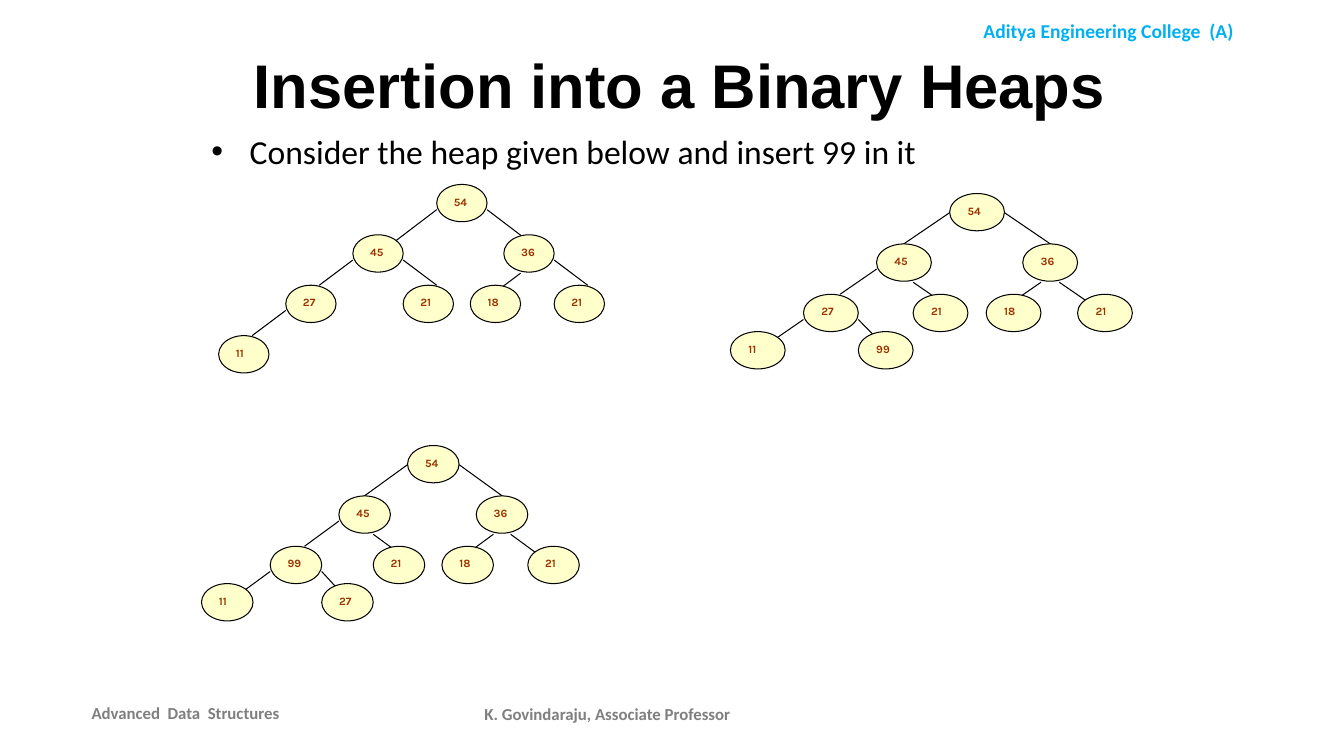
from lxml import etree
from pptx import Presentation
from pptx.dml.color import RGBColor
from pptx.enum.shapes import MSO_CONNECTOR, MSO_SHAPE
from pptx.enum.text import MSO_ANCHOR, MSO_AUTO_SIZE, PP_ALIGN
from pptx.oxml.ns import qn
from pptx.util import Emu, Pt

EMU_PER_PX = 9144
ELLIPSE = MSO_SHAPE.OVAL
STRAIGHT = MSO_CONNECTOR.STRAIGHT
LEFT, CENTER, JUSTIFY = PP_ALIGN.LEFT, PP_ALIGN.CENTER, PP_ALIGN.JUSTIFY
TOP, MIDDLE = MSO_ANCHOR.TOP, MSO_ANCHOR.MIDDLE
NO_FIT = MSO_AUTO_SIZE.NONE

COLORS = {"ink": "000000", "college": "00B0F0", "footer": "7F7F7F",
          "node": "FFFFCC", "value": "993300"}

NODE_COLS, NODE_H = 3, 37
LEVELS = (0, 50, 100)

HEAP_BEFORE = {
    "cols": 23, "leaf_y": 150,
    "nodes": [(13, 0), (8, 1), (17, 1), (4, 2), (11, 2), (15, 2), (20, 2), (0, 3)],
    "edges": [(13, 25, 10, 63), (16, 25, 19, 63), (8, 75, 6, 100), (11, 75, 13, 100),
              (18, 88, 16, 113), (20, 75, 22, 100), (4, 125, 2, 150)],
}
HEAP_AFTER = {
    "cols": 22, "leaf_y": 137,
    "nodes": [(12, 0), (8, 1), (16, 1), (4, 2), (10, 2), (14, 2), (19, 2), (0, 3), (7, 3)],
    "edges": [(12, 19, 9, 56), (15, 19, 18, 56), (8, 75, 6, 100), (10, 88, 12, 113),
              (17, 88, 15, 113), (18, 88, 20, 113), (4, 125, 2, 150), (7, 125, 9, 162)],
}
HEAPS = [
    (HEAP_BEFORE, 217, 183, 383, [54, 45, 36, 27, 21, 18, 21, 11]),
    (HEAP_AFTER, 725, 192, 399, [54, 45, 36, 27, 21, 18, 21, 11, 99]),
    (HEAP_AFTER, 200, 442, 375, [54, 45, 36, 99, 21, 18, 21, 11, 27]),
]


def px(n):
    """Turn px into EMU."""
    return Emu(round(n * EMU_PER_PX))


def rgb(name):
    """Look up a named colour."""
    return RGBColor.from_string(COLORS[name])


def write(sp, text, size, color="ink", font="Calibri", bold=True, align=LEFT,
          anchor=TOP, bullet=False):
    """Put one formatted paragraph into a shape."""
    tf = sp.text_frame
    tf.word_wrap = True
    tf.auto_size = NO_FIT
    tf.vertical_anchor = anchor
    tf.margin_left = tf.margin_right = px(10)
    tf.margin_top = tf.margin_bottom = px(5)
    p = tf.paragraphs[0]
    p.alignment = align
    if bullet:
        add_bullet(p)
    r = p.add_run()
    r.text = text
    r.font.size = Pt(size)
    r.font.name = font
    r.font.bold = bold
    r.font.color.rgb = rgb(color)


def add_bullet(p):
    """Give a paragraph a hanging round bullet and tight lines."""
    pPr = p._p.get_or_add_pPr()
    pPr.set("marL", str(px(38)))
    pPr.set("indent", str(px(-38)))
    clr = etree.SubElement(pPr, qn("a:buClr"))
    etree.SubElement(clr, qn("a:srgbClr"), val=COLORS["ink"])
    etree.SubElement(pPr, qn("a:buFont"), typeface="Arial")
    etree.SubElement(pPr, qn("a:buChar"), char="•")
    p.line_spacing = 0.8


def add_text(s, x, y, w, h, text, size, **fmt):
    """Add a text box."""
    write(s.shapes.add_textbox(px(x), px(y), px(w), px(h)), text, size, **fmt)


def add_title(s, x, y, w, h, text, size, **fmt):
    """Move and fill the title placeholder."""
    sp = s.shapes.title
    sp.left, sp.top, sp.width, sp.height = px(x), px(y), px(w), px(h)
    write(sp, text, size, **fmt)


def outline(shape):
    """Give a shape or connector the thin black line."""
    shape.line.color.rgb = rgb("ink")
    shape.line.width = Pt(0.75)


def add_edge(shapes, x1, y1, x2, y2):
    """Add a line between two nodes."""
    edge = shapes.add_connector(STRAIGHT, px(x1), px(y1), px(x2), px(y2))
    outline(edge)
    etree.SubElement(edge._element.spPr, qn("a:effectLst"))


def add_node(shapes, x, y, w, value):
    """Add one heap node."""
    sp = shapes.add_shape(ELLIPSE, px(x), px(y), px(w), px(NODE_H))
    sp.shadow.inherit = False
    sp.fill.solid()
    sp.fill.fore_color.rgb = rgb("node")
    outline(sp)
    write(sp, str(value), 8, color="value", font="Karla")


def add_heap(s, layout, x, y, width, values):
    """Add a grouped heap, its edges behind its nodes."""
    shapes = s.shapes.add_group_shape().shapes
    col = width / layout["cols"]
    tops = (*LEVELS, layout["leaf_y"])
    for c1, y1, c2, y2 in layout["edges"]:
        add_edge(shapes, x + c1 * col, y + y1, x + c2 * col, y + y2)
    for (c, level), value in zip(layout["nodes"], values):
        add_node(shapes, x + c * col, y + tops[level], NODE_COLS * col, value)


def main():
    """Build the heap insertion slide."""
    prs = Presentation()
    prs.slide_width, prs.slide_height = px(1334), px(750)
    s = prs.slides.add_slide(prs.slide_layouts[5])
    add_title(s, 242, 42, 1008, 84, "Insertion into a Binary Heaps", 44, font="Arial")
    add_text(s, 909, 14, 383, 34, "Aditya Engineering College  (A)", 14,
             color="college", align=CENTER)
    add_text(s, 81, 687, 211, 40, "Advanced  Data  Structures", 12,
             color="footer", align=JUSTIFY, anchor=MIDDLE)
    add_text(s, 453, 688, 300, 40, "K. Govindaraju, Associate Professor", 12,
             color="footer", align=CENTER, anchor=MIDDLE)
    for heap in HEAPS:
        add_heap(s, *heap)
    add_text(s, 200, 133, 732, 42, "Consider the heap given below and insert 99 in it", 24,
             bold=False, bullet=True)
    prs.save("out.pptx")


if __name__ == "__main__":
    main()
